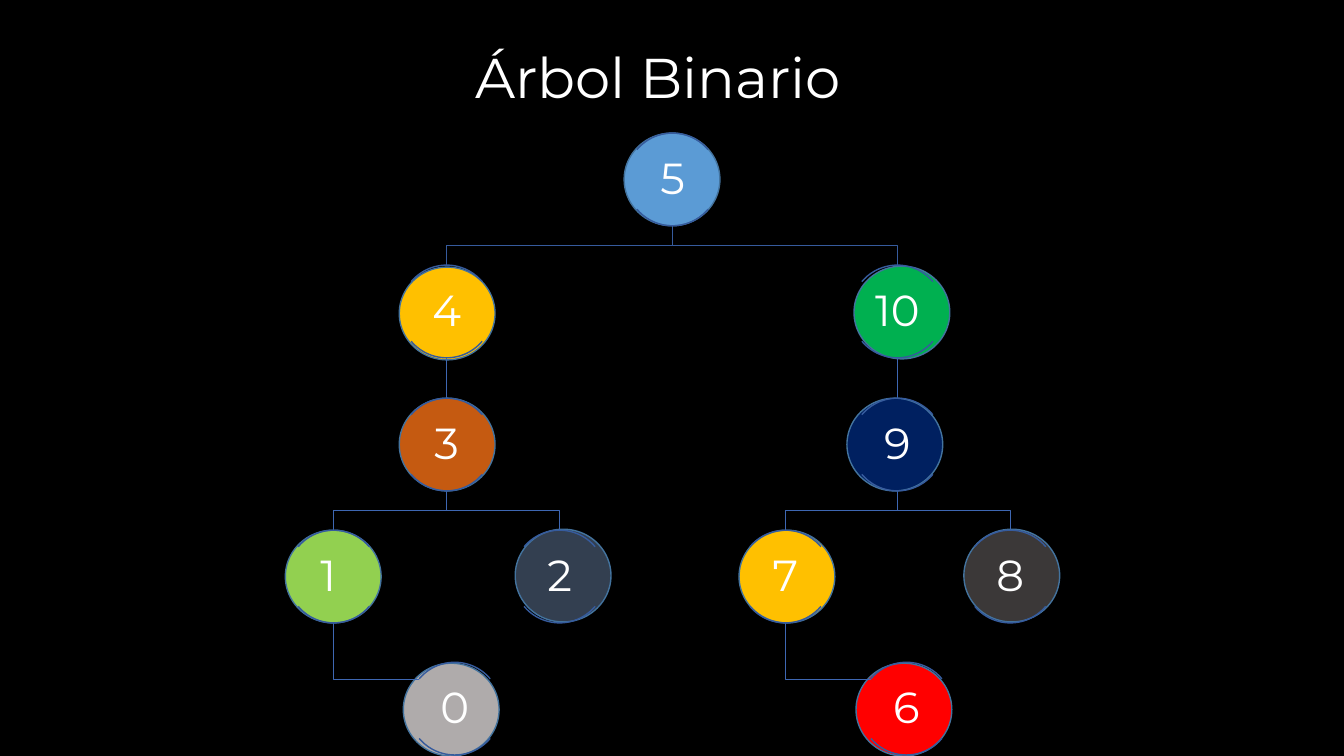
from pptx import Presentation
from pptx.dml.color import RGBColor
from pptx.enum.shapes import MSO_CONNECTOR as Conn, MSO_SHAPE as Shape
from pptx.enum.text import MSO_ANCHOR as Anchor, PP_ALIGN as Align
from pptx.oxml import parse_xml
from pptx.oxml.ns import nsdecls
from pptx.util import Inches, Pt

BLACK = RGBColor(0x00, 0x00, 0x00)
WHITE = RGBColor(0xFF, 0xFF, 0xFF)
RIM = RGBColor(0x43, 0x73, 0x9E)
NAVY = RGBColor(0x36, 0x5B, 0x9D)
BLUE = RGBColor(0x3E, 0x67, 0xB2)
SKY = RGBColor(0x5B, 0x9B, 0xD5)
GOLD = RGBColor(0xFF, 0xC0, 0x00)
RUST = RGBColor(0xC5, 0x5A, 0x11)
LIME = RGBColor(0x92, 0xD0, 0x50)
SLATE = RGBColor(0x33, 0x3F, 0x50)
SILVER = RGBColor(0xAF, 0xAB, 0xAB)
GREEN = RGBColor(0x00, 0xB0, 0x50)
INDIGO = RGBColor(0x00, 0x20, 0x60)
COAL = RGBColor(0x3B, 0x38, 0x38)
RED = RGBColor(0xFF, 0x00, 0x00)

SIZE = 0.92
TOPS = (1.32, 2.63, 3.95, 5.26, 6.57)

# Label, fill, centre x, level, left and top of the disc
NODES = (
    ("5", SKY, 6.67, 0, 6.19, 1.32),
    ("4", GOLD, 4.43, 1, 3.96, 2.65),
    ("3", RUST, 4.43, 2, 3.96, 3.95),
    ("1 ", LIME, 3.31, 3, 2.83, 5.26),
    ("0", SILVER, 4.51, 4, 4.00, 6.58),
    ("2", SLATE, 5.55, 3, 5.11, 5.25),
    ("10", GREEN, 8.90, 1, 8.47, 2.64),
    ("9", INDIGO, 8.90, 2, 8.40, 3.95),
    ("7", GOLD, 7.79, 3, 7.33, 5.26),
    ("6", RED, 8.99, 4, 8.49, 6.58),
    ("8", COAL, 10.02, 3, 9.56, 5.25),
)

# Centre x of parent and child, level of the parent
FORKS = ((6.67, 4.43, 0), (6.67, 8.90, 0), (4.43, 3.31, 2),
         (4.43, 5.55, 2), (8.90, 7.79, 2), (8.90, 10.02, 2))
STEMS = (4.43, 8.90)
HOOKS = (3.31, 7.79)


class Tree:
    def __init__(self, slide, font):
        self.slide = slide
        self.font = font
        slide.background.fill.solid()
        slide.background.fill.fore_color.rgb = BLACK

    def pen(self, item, color):
        item.line.color.rgb = color
        item.line.width = Pt(1)

    def disc(self, left, top, color):
        disc = self.slide.shapes.add_shape(
            Shape.FLOWCHART_CONNECTOR, Inches(left), Inches(top), Inches(0.95), Inches(SIZE))
        disc.shadow.inherit = False
        disc.fill.solid()
        disc.fill.fore_color.rgb = color
        self.pen(disc, RIM)

    def arc(self, mid, top, start, end):
        arc = self.slide.shapes.add_shape(
            Shape.ARC, Inches(mid - SIZE / 2), Inches(top), Inches(SIZE), Inches(SIZE))
        arc.shadow.inherit = False
        arc.adjustments[0] = start
        arc.adjustments[1] = end
        arc.fill.background()
        self.pen(arc, NAVY)

    def bend(self, points, color):
        spots = [(Inches(x), Inches(y)) for x, y in points]
        form = self.slide.shapes.build_freeform(*spots[0])
        form.add_line_segments(spots[1:], close=False)
        bend = form.convert_to_shape()
        bend.shadow.inherit = False
        bend.fill.background()
        self.pen(bend, color)

    def stem(self, x, top, end):
        stem = self.slide.shapes.add_connector(
            Conn.STRAIGHT, Inches(x), Inches(top), Inches(x), Inches(end))
        stem.element.spPr.append(parse_xml(f"<a:effectLst {nsdecls('a')}/>"))
        self.pen(stem, BLUE)

    def text(self, words, left, top, width, height, size):
        box = self.slide.shapes.add_textbox(
            Inches(left), Inches(top), Inches(width), Inches(height))
        frame = box.text_frame
        frame.word_wrap = True
        para = frame.paragraphs[0]
        para.text = words
        para.font.name = self.font
        para.font.size = Pt(size)
        para.font.color.rgb = WHITE
        return frame

    def label(self, words, mid, top):
        frame = self.text(words, mid - 0.925, top + 0.17, 1.85, 0.59, 31)
        frame.vertical_anchor = Anchor.MIDDLE
        frame.margin_left = frame.margin_right = Inches(0.02)
        frame.margin_top = frame.margin_bottom = Inches(0.02)
        frame.paragraphs[0].alignment = Align.CENTER
        frame.paragraphs[0].line_spacing = 0.9


def main():
    deck = Presentation()
    deck.slide_width = Inches(13.33)
    deck.slide_height = Inches(7.5)
    tree = Tree(deck.slides.add_slide(deck.slide_layouts[6]), "Montserrat")

    # Discs
    for _, color, _, _, left, top in NODES:
        tree.disc(left, top, color)

    # Branches
    for start, end, level in FORKS:
        top = TOPS[level] + SIZE
        low = TOPS[level + 1]
        turn = (top + low) / 2
        tree.bend(((start, top), (start, turn), (end, turn), (end, low)),
                  BLUE if level else NAVY)
    for x in STEMS:
        tree.stem(x, TOPS[1] + SIZE, TOPS[2])
    for x in HOOKS:
        tree.bend(((x, TOPS[3] + SIZE), (x, 6.74), (x + 0.85, 6.74)), BLUE)

    # Arcs and numbers
    for words, _, mid, level, _, _ in NODES:
        for start, end in ((132, 192), (24, 84)):
            tree.arc(mid, TOPS[level], start, end)
        tree.label(words, mid, TOPS[level])

    # Title
    tree.text("Árbol Binario", 4.62, 0.37, 4.94, 0.77, 40)

    deck.save("out.pptx")


if __name__ == "__main__":
    main()
